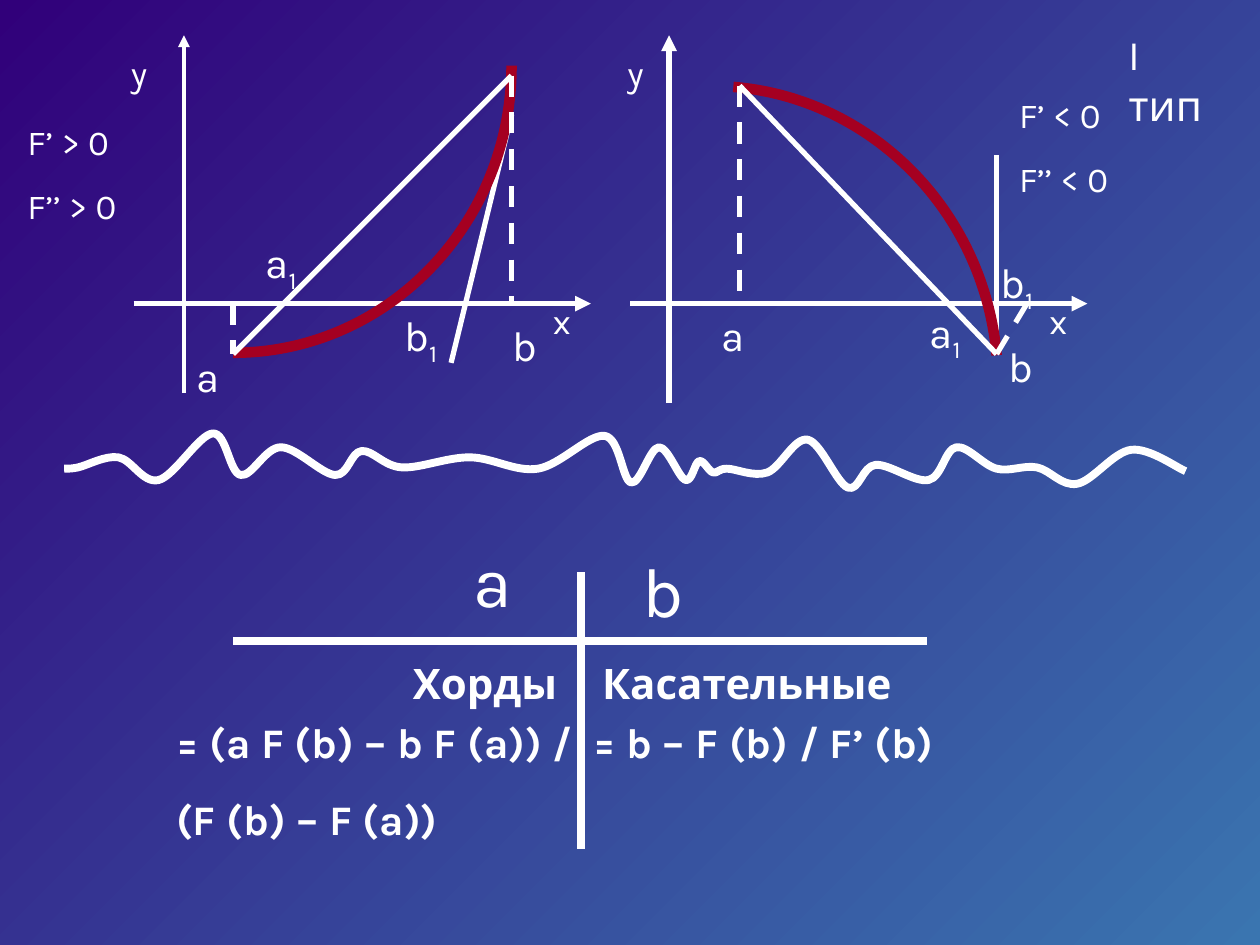
from dataclasses import dataclass

from lxml.etree import SubElement
from pptx import Presentation
from pptx.dml.color import RGBColor
from pptx.enum.dml import MSO_LINE
from pptx.enum.shapes import MSO_CONNECTOR
from pptx.enum.text import MSO_AUTO_SIZE, PP_ALIGN
from pptx.oxml.ns import qn
from pptx.util import Inches, Pt

COLORS = {"ink": "FFFFFF", "curve": "A50021", "bg_start": "31007A", "bg_end": "3A75B0"}
FONT = "Karla"
Point = tuple[float, float]


@dataclass
class Label:
    text: str
    left: float
    top: float
    width: float = 0.47
    height: float = 0.5
    size: float = 24
    bold: bool = False
    align: PP_ALIGN = PP_ALIGN.LEFT
    subscript: str = ""


@dataclass
class Stroke:
    start: Point
    end: Point
    width: float = 3
    arrow: bool = False
    dashed: bool = False


@dataclass
class Curve:
    start: Point
    segments: list[tuple[Point, Point, Point]]  # two control points, end point
    color: str
    width: float


def rgb(name: str) -> RGBColor:
    return RGBColor.from_string(COLORS[name])


def draw_label(shapes, label: Label) -> None:
    box = shapes.add_textbox(*map(Inches, (label.left, label.top, label.width, label.height)))
    frame = box.text_frame
    frame.word_wrap = True
    frame.auto_size = MSO_AUTO_SIZE.SHAPE_TO_FIT_TEXT
    for i, line in enumerate(label.text.split("\n")):
        paragraph = frame.add_paragraph() if i else frame.paragraphs[0]
        paragraph.alignment = label.align
        paragraph.space_before = Pt(label.size * 0.625)
        for part in filter(None, (line, label.subscript)):
            run = paragraph.add_run()
            run.text = part
            run.font.name = FONT
            run.font.size = Pt(label.size)
            run.font.bold = label.bold
            run.font.color.rgb = rgb("ink")
        if label.subscript:
            run.font._element.set("baseline", "-25000")


def draw_stroke(shapes, stroke: Stroke) -> None:
    connector = shapes.add_connector(
        MSO_CONNECTOR.STRAIGHT, *map(Inches, (*stroke.start, *stroke.end)))
    connector.line.color.rgb = rgb("ink")
    connector.line.width = Pt(stroke.width)
    if stroke.dashed:
        connector.line.dash_style = MSO_LINE.DASH
    properties = connector._element.spPr
    if stroke.arrow:
        SubElement(properties.find(qn("a:ln")), qn("a:tailEnd"), type="triangle")
    SubElement(properties, qn("a:effectLst"))


def draw_curve(shapes, curve: Curve) -> None:
    ends = [segment[2] for segment in curve.segments]
    builder = shapes.build_freeform(*map(Inches, curve.start))
    builder.add_line_segments([tuple(map(Inches, end)) for end in ends], close=False)
    shape = builder.convert_to_shape()
    shape.shadow.inherit = False
    shape.fill.background()
    shape.line.color.rgb = rgb(curve.color)
    shape.line.width = Pt(curve.width)
    # Straight segments become Bezier segments
    left = min(x for x, _ in [curve.start, *ends])
    top = min(y for _, y in [curve.start, *ends])
    lines = list(shape._element.iter(qn("a:lnTo")))
    for line, segment in zip(lines, curve.segments):
        line.tag = qn("a:cubicBezTo")
        line.remove(line[0])
        for x, y in segment:
            SubElement(line, qn("a:pt"), x=str(Inches(x - left)), y=str(Inches(y - top)))


def smooth(points: list[Point], color: str, width: float) -> Curve:
    """Run a Catmull-Rom spline through the points."""
    padded = [points[0], *points, points[-1]]
    segments = []
    for before, start, end, after in zip(padded, padded[1:], padded[2:], padded[3:]):
        segments.append((
            (start[0] + (end[0] - before[0]) / 6, start[1] + (end[1] - before[1]) / 6),
            (end[0] - (after[0] - start[0]) / 6, end[1] - (after[1] - start[1]) / 6),
            end))
    return Curve(points[0], segments, color, width)


DRAW = {Label: draw_label, Stroke: draw_stroke, Curve: draw_curve}


def draw_all(shapes, parts: list) -> None:
    for part in parts:
        DRAW[type(part)](shapes, part)


def axes(left: float, y_axis: float, bottom: float, y_width: float) -> list:
    return [
        Stroke((left, 2.41), (left + 3.63, 2.41), arrow=True),
        Stroke((y_axis, bottom), (y_axis, 0.28), y_width, arrow=True),
        Label("y", left - 0.12, 0.36, 0.32, 0.44, 20),
        Label("x", left + 3.23, 2.33, 0.32, 0.44, 20),
    ]


def signs(relation: str, left: float, top: float) -> Label:
    return Label(f"F’ {relation} 0\nF’’ {relation} 0", left, top, 1.1, 0.94, 20)


def indexed(letter: str, left: float, top: float) -> Label:
    return Label(letter, left, top, height=0.96, subscript="1")


# Rising convex function
RISING_PLOT = [
    Stroke((4.06, 0.91), (3.58, 2.88)),
    *axes(1.06, 1.46, 3.12, 2.25),
    Curve((1.85, 2.8), [((3.07, 2.8), (4.06, 1.78), (4.06, 0.52))], "curve", 6),
    signs(">", 0.12, 0.91),
    Stroke((1.85, 2.41), (1.85, 2.81), dashed=True),
    Stroke((4.06, 0.6), (4.06, 2.41), dashed=True),
    Stroke((4.06, 0.6), (1.85, 2.81)),
    Label("a", 1.46, 2.73), Label("b", 3.97, 2.49),
    indexed("b", 3.11, 2.41), indexed("a", 2.01, 1.83),
]

# Falling concave function
FALLING_PLOT = [
    signs("<", 7.99, 0.69),
    Stroke((7.91, 2.81), (7.91, 1.23)),
    *axes(5, 5.31, 3.2, 3),
    Curve((5.82, 0.69), [((6.92, 0.78), (7.81, 1.68), (7.91, 2.82))], "curve", 6),
    Stroke((5.87, 0.68), (5.87, 2.41), dashed=True),
    Stroke((7.91, 2.81), (8.15, 2.41), dashed=True),
    Stroke((5.87, 0.68), (7.91, 2.81)),
    Label("a", 5.63, 2.41), indexed("a", 7.28, 2.38),
    indexed("b", 7.84, 1.99), Label("b", 7.91, 2.65),
]

WAVE = [
    (9.41, 3.74), (8.98, 3.57), (8.55, 3.84), (8.23, 3.71), (7.91, 3.72), (7.59, 3.55),
    (7.37, 3.81), (6.95, 3.69), (6.73, 3.87), (6.41, 3.49), (6.09, 3.75), (5.77, 3.72),
    (5.66, 3.75), (5.55, 3.66), (5.44, 3.81), (5.23, 3.55), (5.01, 3.83), (4.8, 3.46),
    (4.27, 3.72), (3.73, 3.63), (3.19, 3.71), (2.87, 3.58), (2.66, 3.77), (2.23, 3.55),
    (1.91, 3.77), (1.69, 3.44), (1.26, 3.81), (0.94, 3.63), (0.62, 3.71), (0.51, 3.72),
]

# Cross of rules with the two methods on either side
CROSS = (4.61, 5.09)
METHODS = [
    *[Stroke(CROSS, tip, 4.5) for tip in ((4.61, 4.54), (4.61, 6.74), (7.36, 5.09), (1.85, 5.09))],
    Label("a", 3.66, 4.22, 0.79, 0.77, 40),
    Label("b", 5, 4.3, 0.79, 0.77, 40),
    Label("Хорды", 2.16, 5.17, 2.36, bold=True, align=PP_ALIGN.RIGHT),
    Label("Касательные", 4.68, 5.17, 2.52, bold=True),
    Label("= (a F (b) – b F (a)) /\n(F (b) – F (a))", 1.3, 5.64, 3.55, 1.11, bold=True),
    Label("= b – F (b) / F’ (b)", 4.61, 5.64, 3.55, bold=True),
]


def main() -> None:
    deck = Presentation()
    deck.slide_width, deck.slide_height = Inches(10), Inches(7.5)
    slide = deck.slides.add_slide(deck.slide_layouts[6])

    # Diagonal background
    backdrop = slide.background.fill
    backdrop.gradient()
    backdrop.gradient_angle = 315
    for stop, name, position in zip(backdrop.gradient_stops, ("bg_start", "bg_end"), (0, 1)):
        stop.color.rgb = rgb(name)
        stop.position = position

    draw_all(slide.shapes, [smooth(WAVE, "ink", 4.5), Label("I тип", 8.86, 0.18, 0.95, 0.9)])
    draw_all(slide.shapes, METHODS)
    for plot in (RISING_PLOT, FALLING_PLOT):
        draw_all(slide.shapes.add_group_shape().shapes, plot)
    deck.save("out.pptx")


if __name__ == "__main__":
    main()
